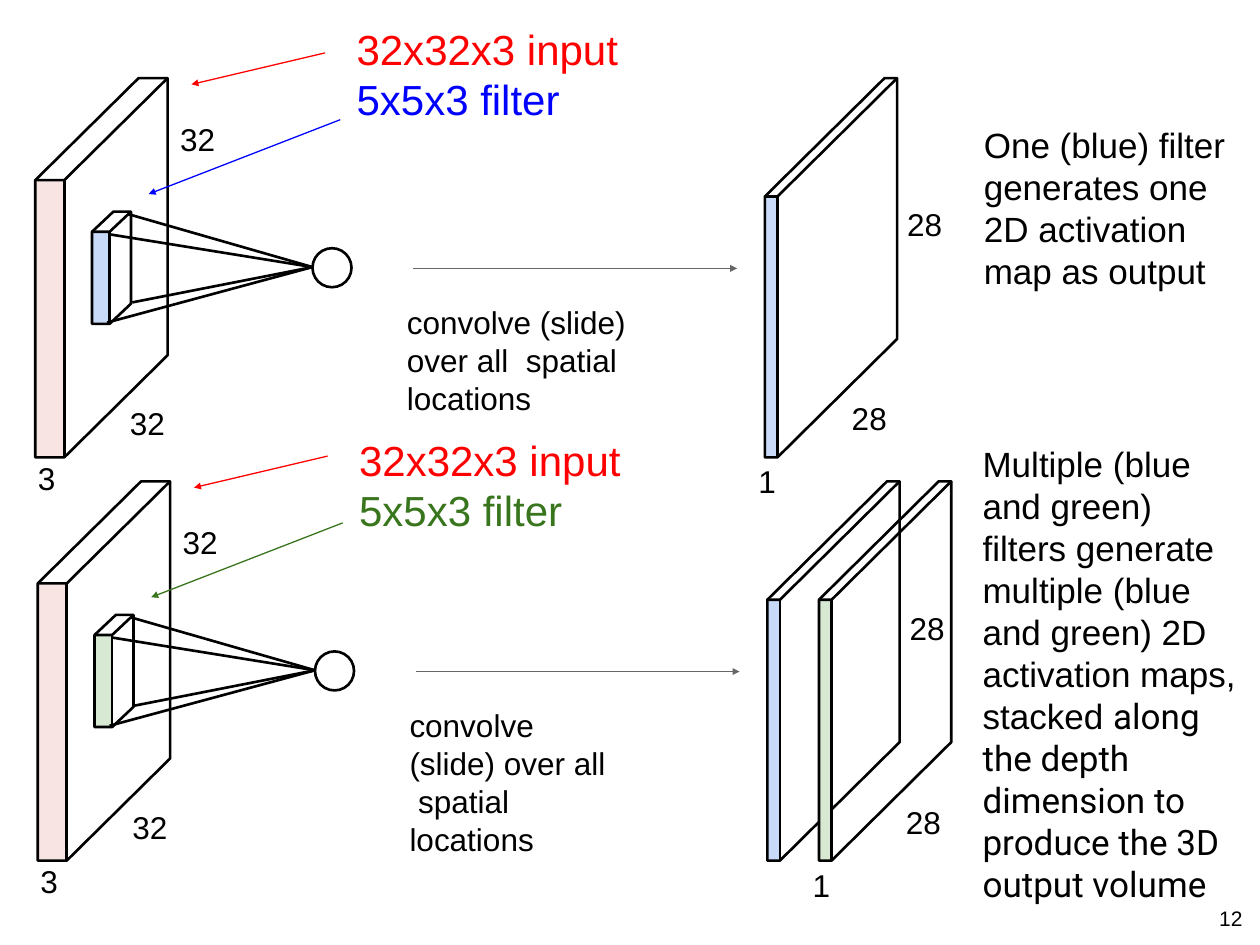
from lxml import etree
from pptx import Presentation
from pptx import util as u
from pptx.dml.color import RGBColor
from pptx.enum import shapes, text
from pptx.oxml.ns import qn

PX = u.Inches(1) // 100
COLORS = {
    "black": "000000", "red": "FF0000", "blue": "0000FF", "green": "38751C",
    "gray": "666666", "pink": "F4CCCC", "pale blue": "C8DAF7", "pale green": "D8E9D3",
}
ALIGN = text.PP_ALIGN


def px(*values):
    return [u.Emu(value * PX) for value in values]


def rgb(name):
    return RGBColor.from_string(COLORS[name])


def add_text(slide, box, paragraphs, size=18, inset=True, wrap=True,
             align=ALIGN.LEFT, spacing=None):
    """Each paragraph is a list of (text, colour, font) runs."""
    frame = slide.shapes.add_textbox(*px(*box)).text_frame
    frame.word_wrap = wrap
    if not inset:
        frame.margin_left = frame.margin_right = 0
        frame.margin_top = frame.margin_bottom = 0
    for index, runs in enumerate(paragraphs):
        paragraph = frame.add_paragraph() if index else frame.paragraphs[0]
        paragraph.alignment = align
        paragraph.line_spacing = spacing
        paragraph.font.size = u.Pt(size)
        for words, color, font in runs:
            run = paragraph.add_run()
            run.text = words
            run.font.name = font
            run.font.color.rgb = rgb(color)


def add_label(slide, left, top, words):
    add_text(slide, (left, top, 16 * len(words), 31),
             [[(words, "black", "Arial")]], inset=False, wrap=False)


def add_path(slide, points, close=False, fill=None, alpha=None):
    """Draw a filled area without a line, or a black line without a fill."""
    builder = slide.shapes.build_freeform(*points[0], scale=PX)
    builder.add_line_segments(points[1:], close=close)
    shape = builder.convert_to_shape()
    shape.shadow.inherit = False
    if not fill:
        shape.fill.background()
        shape.line.color.rgb = rgb("black")
        shape.line.width = u.Pt(1.5)
        return
    shape.line.fill.background()
    shape.fill.solid()
    shape.fill.fore_color.rgb = rgb(fill)
    if alpha:
        color = shape.fill._xPr.find(".//" + qn("a:srgbClr"))
        etree.SubElement(color, qn("a:alpha"), val=str(alpha * 1000))


def add_line(slide, start, end, color="black", width=1.5, arrow=False):
    line = slide.shapes.add_connector(
        shapes.MSO_CONNECTOR.STRAIGHT, *px(*start, *end))
    line.line.color.rgb = rgb(color)
    line.line.width = u.Pt(width)
    properties = line._element.spPr
    if arrow:
        etree.SubElement(properties.find(qn("a:ln")), qn("a:tailEnd"),
                         type="triangle", w="sm", len="sm")
    etree.SubElement(properties, qn("a:effectLst"))


def add_slab(slide, box, front, fill, alpha=None):
    """Oblique block; front is the (width, height) of its coloured face."""
    left, top, width, height = box
    right, bottom = left + width, top + height
    edge, shoulder = left + front[0], bottom - front[1]
    corner = (left, shoulder)
    add_path(slide, [corner, (edge, shoulder), (edge, bottom), (left, bottom)],
             True, fill, alpha)
    add_path(slide, [corner, (right - front[0], top), (right, top),
                     (right, top + front[1]), (edge, bottom), (left, bottom)], True)
    add_path(slide, [corner, (edge, shoulder), (right, top)])
    add_line(slide, (edge, shoulder), (edge, bottom))


def add_input(slide, left, top, title_top, title_color, filter_fill):
    """Input volume with its filter, neuron, heading and pointers."""
    add_slab(slide, (left + 45, top + 106, 31, 89), (14, 73), filter_fill)
    neuron = slide.shapes.add_shape(
        shapes.MSO_SHAPE.OVAL, *px(left + 220, top + 135, 31, 31))
    neuron.shadow.inherit = False
    neuron.fill.background()
    neuron.line.color.rgb = rgb("black")
    neuron.line.width = u.Pt(1.5)
    for x, y in [(57, 194), (59, 124), (74, 108), (77, 178)]:
        add_line(slide, (left + x, top + y), (left + 220, top + 150))

    add_slab(slide, (left, top, 105, 301), (23, 220), "pink", 52)
    for x, y, words in [(75, 259, "32"), (115, 33, "32"), (2, 302, "3")]:
        add_label(slide, left + x, top + y, words)

    add_text(slide, (left + 255, title_top, 248, 79),
             [[("32x32x3 input", "red", "Arial")],
              [("5x5x3 filter", title_color, "Arial")]],
             size=24, inset=False, spacing=u.Pt(28.6))
    add_line(slide, (left + 230, top - 20), (left + 124, top + 5), "red", 0.75, True)
    add_line(slide, (left + 242, top + 33), (left + 90, top + 92),
             title_color, 0.75, True)


def add_convolution(slide, left, top, caption_width):
    add_line(slide, (left, top), (left + 257, top), "gray", 0.75, True)
    add_text(slide, (left - 5, top + 27, caption_width, 90),
             [[("convolve (slide) over all  spatial locations", "black", "Arial")]],
             inset=False, spacing=1.01)


def add_output(slide, left, top, fills):
    """Activation maps side by side, with sizes under the last one."""
    for index, fill in enumerate(fills):
        last = left + 41 * index
        add_slab(slide, (last, top, 105, 301), (10, 207), fill)
    for x, y, words in [(last - 5, 305, "1"), (last + 69, 255, "28"),
                        (left + 113, 101, "28")]:
        add_label(slide, x, top + y, words)


def main():
    presentation = Presentation()
    presentation.slide_width, presentation.slide_height = px(1000, 750)
    slide = presentation.slides.add_slide(presentation.slide_layouts[6])

    rows = [
        (28, 62, 19, "blue", ["pale blue"], 182),
        (30, 382, 345, "green", ["pale blue", "pale green"], 162),
    ]
    for left, top, title_top, title_color, fills, caption_width in rows:
        add_input(slide, left, top, title_top, title_color, fills[-1])
        add_convolution(slide, left + 300, top + 151, caption_width)
        add_output(slide, left + 579, top, fills)

    add_text(slide, (771, 93, 224, 172),
             [[("One (blue) filter generates one 2D activation map as output",
                "black", "Arial")]], size=20)
    add_text(slide, (770, 346, 224, 380),
             [[("Multiple (blue and green) filters generate multiple "
                "(blue and green) 2D activation maps, stacked ", "black", "Arial"),
               ("along the depth dimension to produce the 3D output volume",
                "black", "Roboto")]], size=20)
    add_text(slide, (763, 714, 233, 27), [[("12", "black", "Arial")]],
             size=12, align=ALIGN.RIGHT)
    presentation.save("out.pptx")


if __name__ == "__main__":
    main()
